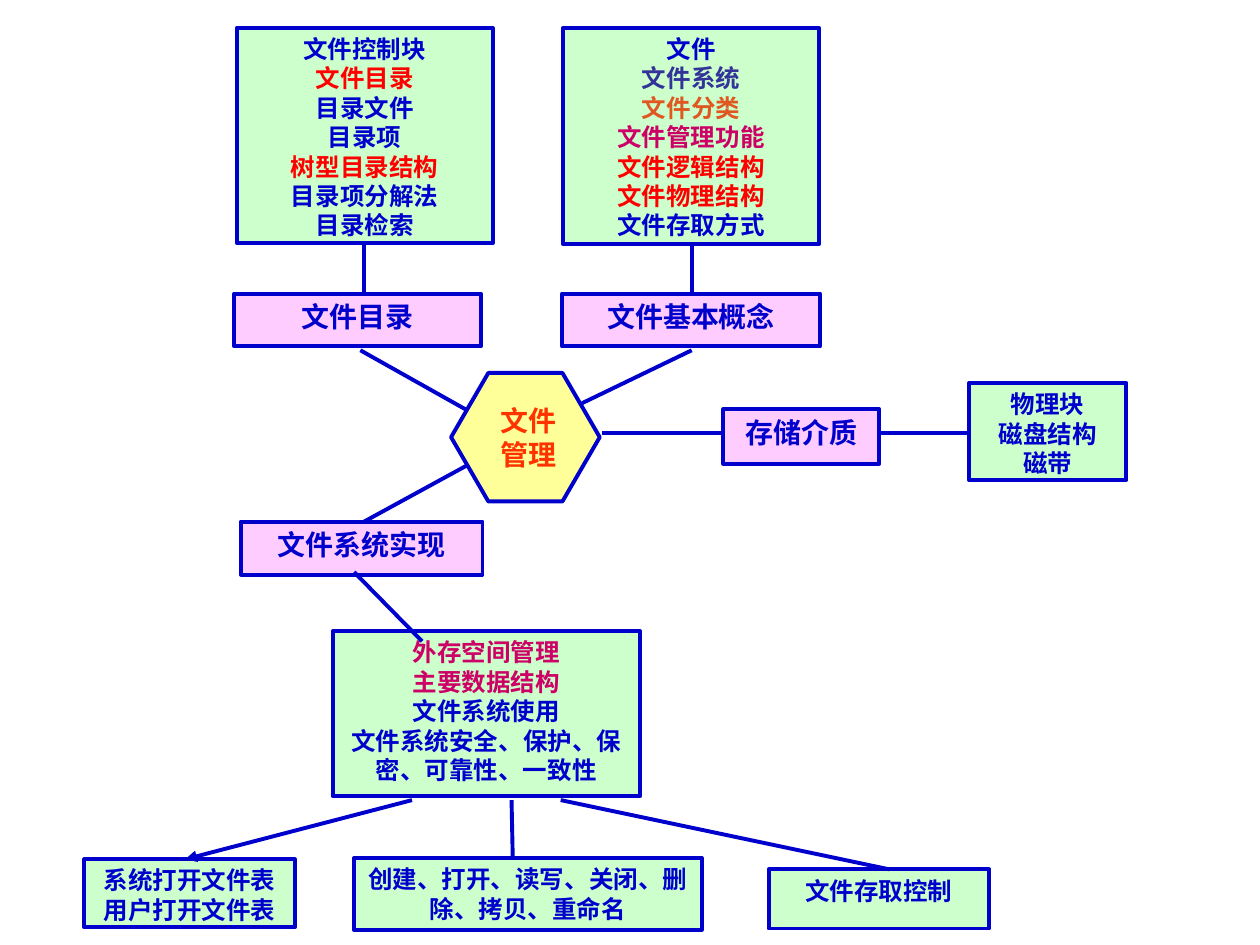
from dataclasses import dataclass

from lxml import etree
from pptx import Presentation
from pptx.dml.color import RGBColor
from pptx.enum import shapes, text
from pptx.oxml import ns
from pptx.util import Inches, Pt


@dataclass(frozen=True)
class Theme:
    font: str = "Times New Roman"
    blue: str = "0000CC"
    red: str = "FF0000"
    indigo: str = "333399"
    orange: str = "DF5721"
    magenta: str = "CC0066"
    core_text: str = "FF3300"
    detail_fill: str = "CCFFCC"
    topic_fill: str = "FFCCFF"
    core_fill: str = "FFFF99"
    detail_size: float = 14
    topic_size: float = 16
    stroke: float = 2.25


THEME = Theme()

# Detail boxes: position and size, then lines of (wording, colour)
DETAILS = [
    ((1.88, 0.22, 2.03, 1.71), [
        ("文件控制块", THEME.blue), ("文件目录", THEME.red),
        ("目录文件", THEME.blue), ("目录项", THEME.blue),
        ("树型目录结构", THEME.red), ("目录项分解法", THEME.blue),
        ("目录检索", THEME.blue)]),
    ((4.47, 0.22, 2.03, 1.72), [
        ("文件", THEME.blue), ("文件系统", THEME.indigo),
        ("文件分类", THEME.orange), ("文件管理功能", THEME.magenta),
        ("文件逻辑结构", THEME.red), ("文件物理结构", THEME.red),
        ("文件存取方式", THEME.blue)]),
    ((2.64, 5.01, 2.44, 1.31), [
        ("外存空间管理", THEME.magenta), ("主要数据结构", THEME.magenta),
        ("文件系统使用", THEME.blue),
        ("文件系统安全、保护、保密、可靠性、一致性", THEME.blue)]),
    ((7.69, 3.04, 1.25, 0.77), [
        ("物理块", THEME.blue), ("磁盘结构", THEME.blue), ("磁带", THEME.blue)]),
    ((0.67, 6.82, 1.67, 0.54), [
        ("系统打开文件表", THEME.blue), ("用户打开文件表", THEME.blue)]),
    ((2.81, 6.81, 2.76, 0.57), [
        ("创建、打开、读写、关闭、删除、拷贝、重命名", THEME.blue)]),
    ((6.1, 6.9, 1.75, 0.47), [("文件存取控制", THEME.blue)]),
]

TOPICS = [
    ((1.86, 2.33, 1.96, 0.42), "文件目录"),
    ((4.46, 2.33, 2.05, 0.42), "文件基本概念"),
    ((1.91, 4.14, 1.92, 0.42), "文件系统实现"),
    ((5.74, 3.25, 1.24, 0.43), "存储介质"),
]

# Plain links: start x, start y, end x, end y
LINKS = [
    # Core to topics
    (2.86, 2.78, 3.75, 3.28),
    (5.49, 2.78, 4.62, 3.2),
    (2.89, 4.14, 3.75, 3.67),
    (4.78, 3.44, 5.72, 3.44),
    # Topics to details
    (2.89, 1.94, 2.89, 2.33),
    (5.49, 1.94, 5.49, 2.33),
    (2.81, 4.54, 3.35, 5.09),
    (6.98, 3.44, 7.69, 3.44),
    # Implementation to its parts
    (4.06, 6.35, 4.07, 6.82),
    (4.45, 6.35, 7.06, 6.9),
]
OPEN_TABLE_LINK = (3.27, 6.35, 1.47, 6.82)


def apply_format(target, values):
    for name, value in values.items():
        setattr(target, name, value)


def style_line(line):
    line.color.rgb = RGBColor.from_string(THEME.blue)
    line.width = Pt(THEME.stroke)


def add_node(slide, place, lines, fill, size,
             kind=shapes.MSO_SHAPE.RECTANGLE, **frame_format):
    node = slide.shapes.add_shape(kind, *map(Inches, place))
    node.shadow.inherit = False
    node.fill.solid()
    node.fill.fore_color.rgb = RGBColor.from_string(fill)
    style_line(node.line)

    frame = node.text_frame
    apply_format(frame, {
        "word_wrap": True,
        "vertical_anchor": text.MSO_ANCHOR.TOP,
        **frame_format,
    })
    for index, (wording, color) in enumerate(lines):
        paragraph = frame.add_paragraph() if index else frame.paragraphs[0]
        paragraph.alignment = text.PP_ALIGN.CENTER
        run = paragraph.add_run()
        run.text = wording
        apply_format(run.font, {"name": THEME.font, "size": Pt(size), "bold": True})
        run.font.color.rgb = RGBColor.from_string(color)
    return node


def add_link(slide, ends, arrow=False):
    link = slide.shapes.add_connector(
        shapes.MSO_CONNECTOR.STRAIGHT, *map(Inches, ends))
    style_line(link.line)
    if arrow:
        stroke = link.line._get_or_add_ln()
        etree.SubElement(stroke, ns.qn("a:tailEnd"), type="triangle")
    etree.SubElement(link._element.spPr, ns.qn("a:effectLst"))


def main():
    deck = Presentation()
    deck.slide_width, deck.slide_height = Inches(10), Inches(7.5)
    slide = deck.slides.add_slide(deck.slide_layouts.get_by_name("Blank"))

    # Details and topics
    for place, lines in DETAILS:
        add_node(slide, place, lines, THEME.detail_fill, THEME.detail_size)
    for place, topic in TOPICS:
        add_node(slide, place, [(topic, THEME.blue)],
                 THEME.topic_fill, THEME.topic_size)

    # Links
    for ends in LINKS:
        add_link(slide, ends)
    add_link(slide, OPEN_TABLE_LINK, arrow=True)

    # Core subject
    core = add_node(
        slide, (3.58, 2.96, 1.18, 1.02),
        [("文件", THEME.core_text), ("管理", THEME.core_text)],
        THEME.core_fill, THEME.topic_size, shapes.MSO_SHAPE.HEXAGON,
        vertical_anchor=text.MSO_ANCHOR.MIDDLE, margin_left=Inches(0.15))
    core.adjustments[0] = 0.29

    deck.save("out.pptx")


if __name__ == "__main__":
    main()
